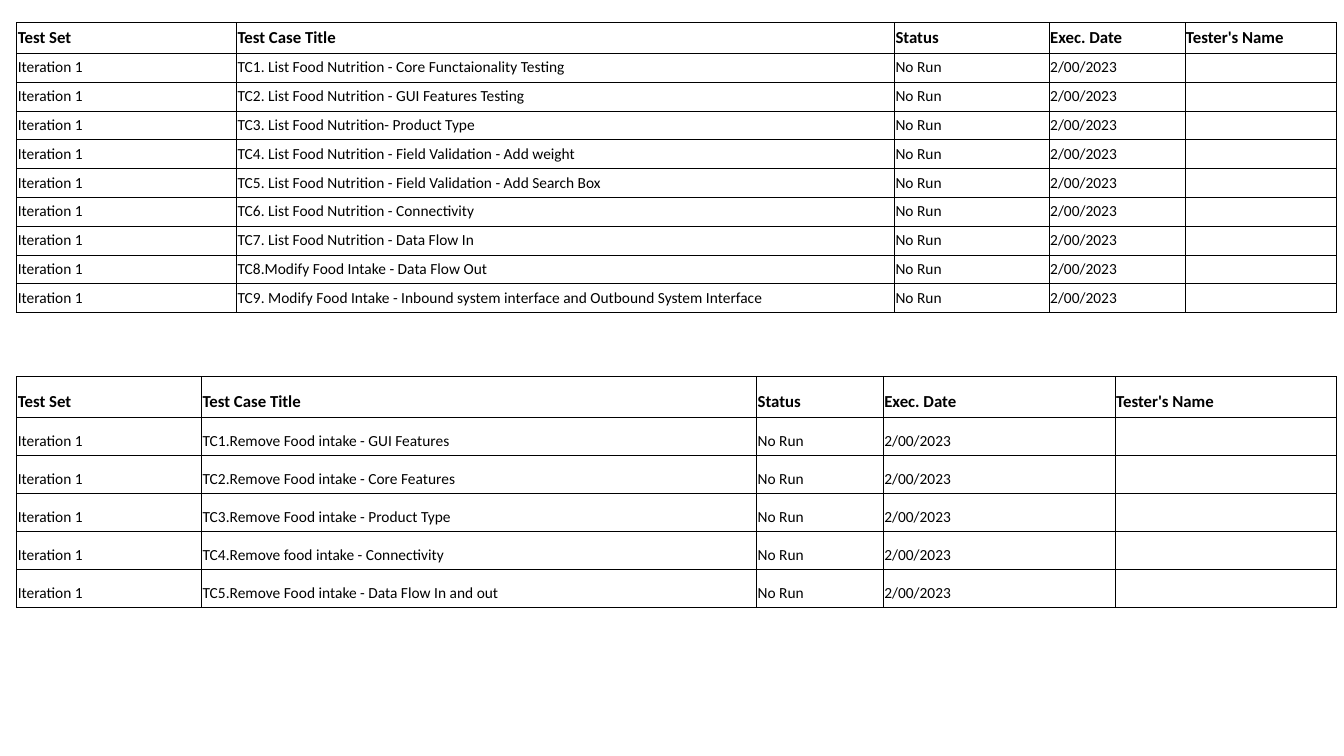
from dataclasses import dataclass

from lxml.etree import SubElement
from pptx import Presentation
from pptx.dml.color import RGBColor as Color
from pptx.enum.text import MSO_ANCHOR as Anchor
from pptx.oxml.ns import qn
from pptx.util import Pt


@dataclass(frozen=True)
class Theme:
    """Colours, type sizes and cell formats of the test plan."""

    ink: str = "000000"
    font: str = "Calibri"
    header_size: float = 12
    body_size: float = 11
    border_width: float = 0.5
    inset: float = 0.72
    bottom_inset: float = 3.6


HEADINGS = ["Test Set", "Test Case Title", "Status", "Exec. Date", "Tester's Name"]
TABLE_LEFT = 12
NUTRITION_CASES = [
    "TC1. List Food Nutrition - Core Functaionality Testing",
    "TC2. List Food Nutrition - GUI Features Testing",
    "TC3. List Food Nutrition- Product Type",
    "TC4. List Food Nutrition - Field Validation - Add weight",
    "TC5. List Food Nutrition - Field Validation - Add Search Box",
    "TC6. List Food Nutrition - Connectivity",
    "TC7. List Food Nutrition - Data Flow In",
    "TC8.Modify Food Intake - Data Flow Out",
    "TC9. Modify Food Intake - Inbound system interface and Outbound System Interface",
]
REMOVAL_CASES = [
    "TC1.Remove Food intake - GUI Features",
    "TC2.Remove Food intake - Core Features",
    "TC3.Remove Food intake - Product Type",
    "TC4.Remove food intake - Connectivity",
    "TC5.Remove Food intake - Data Flow In and out",
]


def set_attributes(target, values):
    """Set every named attribute of the target."""
    for name, value in values.items():
        setattr(target, name, value)


class TestPlanSlide:
    """Draws test case tables on one slide in one theme."""

    def __init__(self, slide, theme):
        """Keep the slide and its theme."""
        self.slide = slide
        self.theme = theme

    def add_borders(self, cell):
        """Outline all four sides of a cell."""
        properties = cell._tc.get_or_add_tcPr()
        for side in ("lnL", "lnR", "lnT", "lnB"):
            line = SubElement(properties, qn(f"a:{side}"), w=str(Pt(self.theme.border_width)))
            fill = SubElement(line, qn("a:solidFill"))
            SubElement(fill, qn("a:srgbClr"), val=self.theme.ink)

    def fill_cell(self, cell, text, is_header):
        """Format a cell and write its text."""
        theme = self.theme
        size = theme.header_size if is_header else theme.body_size
        set_attributes(cell, {
            "margin_left": Pt(theme.inset),
            "margin_right": Pt(theme.inset),
            "margin_top": Pt(theme.inset),
            "margin_bottom": Pt(theme.bottom_inset),
            "vertical_anchor": Anchor.BOTTOM,
        })
        self.add_borders(cell)
        cell.fill.background()
        paragraph = cell.text_frame.paragraphs[0]
        if not text:
            SubElement(paragraph._p, qn("a:endParaRPr"), sz=str(round(size * 100)))
            return
        run = paragraph.add_run()
        run.text = text
        set_attributes(run.font, {"name": theme.font, "size": Pt(size), "bold": is_header})
        run.font.color.rgb = Color.from_string(theme.ink)

    def add_case_table(self, top, widths, header_height, row_height, titles):
        """Add a table with one row for each test case title."""
        rows = [HEADINGS] + [["Iteration 1", title, "No Run", "2/00/2023", ""] for title in titles]
        heights = [header_height] + [row_height] * len(titles)
        shape = self.slide.shapes.add_table(
            len(rows), len(widths), Pt(TABLE_LEFT), Pt(top), Pt(sum(widths)), Pt(sum(heights)))
        table = shape.table
        set_attributes(table, {"first_row": False, "horz_banding": False})
        for column, width in zip(table.columns, widths):
            column.width = Pt(width)
        for row_index, (row, height, texts) in enumerate(zip(table.rows, heights, rows)):
            row.height = Pt(height)
            for cell, text in zip(row.cells, texts):
                self.fill_cell(cell, text, row_index == 0)


def main():
    """Build and save the test plan."""
    presentation = Presentation()
    set_attributes(presentation, {"slide_width": Pt(960), "slide_height": Pt(540)})
    slide = presentation.slides.add_slide(presentation.slide_layouts[6])
    plan = TestPlanSlide(slide, Theme())
    plan.add_case_table(16, [157, 470, 110.5, 97, 108], 22.2, 20.57, NUTRITION_CASES)
    plan.add_case_table(269, [132, 396.5, 90.5, 165.7, 157.8], 29.2, 27.14, REMOVAL_CASES)
    presentation.save("out.pptx")


if __name__ == "__main__":
    main()
